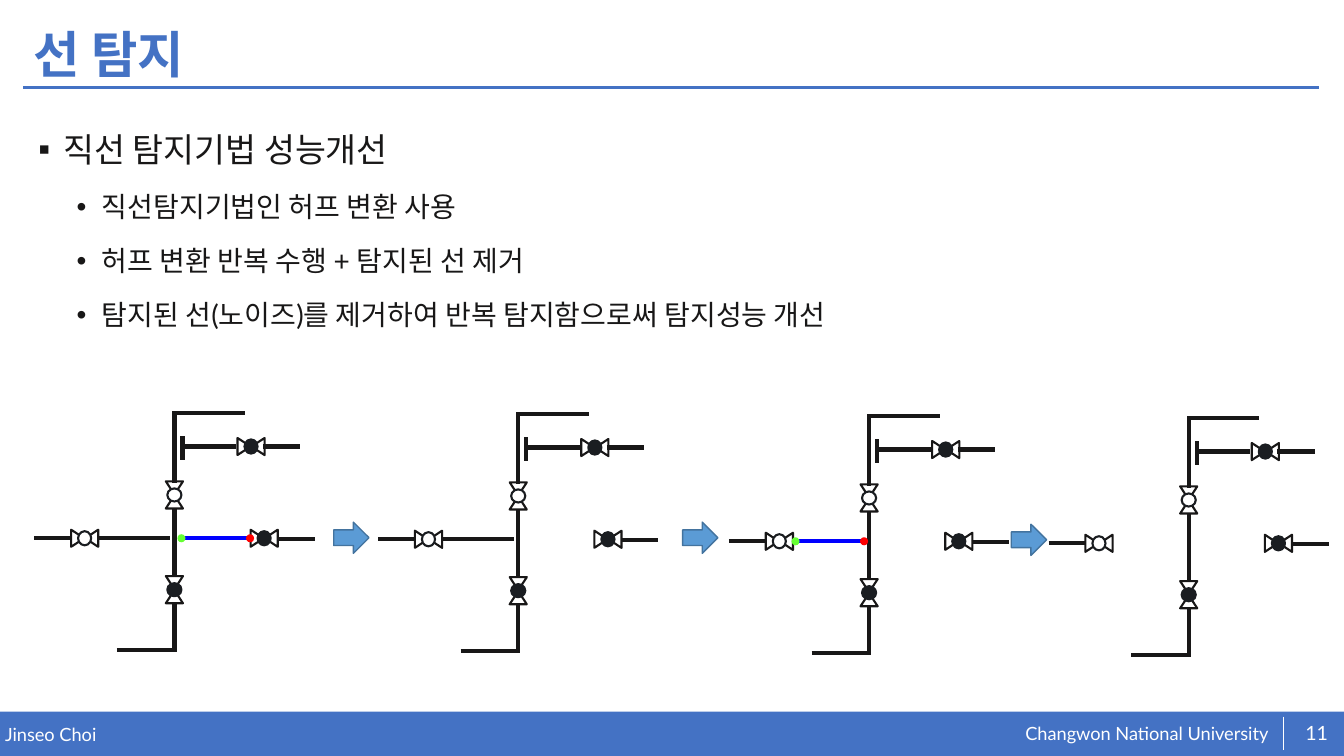
from dataclasses import dataclass

from lxml import etree
from pptx import Presentation
from pptx.dml.color import RGBColor
from pptx.enum.shapes import MSO_CONNECTOR, MSO_SHAPE
from pptx.enum.text import MSO_ANCHOR, MSO_AUTO_SIZE, PP_ALIGN
from pptx.oxml.ns import qn
from pptx.util import Inches, Pt


@dataclass(frozen=True)
class Theme:
    """Colours, fonts and type sizes of the slide."""
    accent: str = "4472C4"
    white: str = "FFFFFF"
    ink: str = "181717"
    valve: str = "1A1D21"
    detected: str = "0000FF"
    start: str = "66FF33"
    end: str = "FF0000"
    arrow: str = "5B9BD5"
    arrow_edge: str = "43739E"
    latin: str = "Lato"
    korean: str = "Noto Sans CJK KR"
    title_size: int = 36
    topic_size: int = 24
    point_size: int = 20
    number_size: int = 14
    footer_size: int = 13


THEME = Theme()

POINTS = [
    "직선탐지기법인 허프 변환 사용",
    "허프 변환 반복 수행 + 탐지된 선 제거",
    "탐지된 선(노이즈)를 제거하여 반복 탐지함으로써 탐지성능 개선",
]

PIPES = [
    (0, 4.08, 0, 4.79),
    (0, 5.05, 0, 5.72),
    (0, 5.98, 0, 6.47),
    (-0.57, 6.45, 0.01, 6.45),
    (-0.01, 4.1, 0.7, 4.1),
    (0.08, 4.33, 0.08, 4.56),
    (0.08, 4.43, 0.61, 4.43),
    (0.88, 4.43, 1.25, 4.43),
    (1.02, 5.35, 1.39, 5.35),
    (-1.39, 5.34, -1.02, 5.34),
]
LEFT_PIPE = (-0.76, 5.34, -0.04, 5.34)
RIGHT_PIPE = (0.04, 5.34, 0.76, 5.34)

VALVES = [
    (0, 4.91, THEME.white, True),
    (0, 5.85, THEME.valve, True),
    (0.89, 5.34, THEME.valve, False),
    (-0.89, 5.34, THEME.white, False),
    (0.76, 4.43, THEME.valve, False),
]

STAGES = [
    (1.73, 0, [LEFT_PIPE], RIGHT_PIPE),
    (5.14, 0.01, [LEFT_PIPE], None),
    (8.62, 0.03, [], LEFT_PIPE),
    (11.79, 0.05, [], None),
]
ARROWS = [(3.31, 5.18), (6.77, 5.18), (10.03, 5.2)]


def colour(code):
    """Turn a hex code into a colour."""
    return RGBColor.from_string(code)


def place(item, left, top, width, height):
    """Move and size a shape, in inches."""
    item.left, item.top = Inches(left), Inches(top)
    item.width, item.height = Inches(width), Inches(height)


def style_text(para, size, code, latin=THEME.latin, bold=False):
    """Set the font of a paragraph for Latin and Korean letters."""
    font = para.font
    font.size, font.bold, font.name = Pt(size), bold, latin
    font.color.rgb = colour(code)
    properties = para._p.pPr.find(qn("a:defRPr"))
    etree.SubElement(properties, qn("a:ea"), typeface=THEME.korean)


def add_line(page, start, end, code=THEME.ink, weight=3):
    """Draw a straight line between two points."""
    line = page.shapes.add_connector(
        MSO_CONNECTOR.STRAIGHT, *(Inches(value) for value in (*start, *end)))
    line.line.color.rgb = colour(code)
    line.line.width = Pt(weight)
    etree.SubElement(line._element.spPr, qn("a:effectLst"))


def add_figure(page, kind, centre, size, fill=None, edge=None, weight=1.5, turn=0):
    """Draw a preset shape around its centre."""
    (x, y), (width, height) = centre, size
    figure = page.shapes.add_shape(
        kind, Inches(x - width / 2), Inches(y - height / 2),
        Inches(width), Inches(height))
    figure.shadow.inherit = False
    figure.rotation = turn
    if fill:
        figure.fill.solid()
        figure.fill.fore_color.rgb = colour(fill)
    else:
        figure.fill.background()
    if edge:
        figure.line.color.rgb = colour(edge)
        figure.line.width = Pt(weight)
    else:
        figure.line.fill.background()


def add_label(page, area, text, size, align=PP_ALIGN.LEFT):
    """Write a white footer label."""
    box = page.shapes.add_textbox(*(Inches(value) for value in area))
    frame = box.text_frame
    frame.word_wrap = True
    frame.vertical_anchor = MSO_ANCHOR.MIDDLE
    frame.margin_left = frame.margin_right = 0
    frame.margin_top = frame.margin_bottom = 0
    para = frame.paragraphs[0]
    para.text, para.alignment = text, align
    style_text(para, size, THEME.white)


def add_title(page, text):
    """Fill the title placeholder and underline it."""
    title = page.shapes.title
    place(title, 0.23, 0.18, 12.86, 0.77)
    title.text_frame.auto_size = MSO_AUTO_SIZE.NONE
    title.text_frame.vertical_anchor = MSO_ANCHOR.MIDDLE
    para = title.text_frame.paragraphs[0]
    para.text, para.alignment, para.line_spacing = text, PP_ALIGN.LEFT, 0.9
    style_text(para, THEME.title_size, THEME.accent, THEME.korean, True)
    add_line(page, (0.23, 0.87), (13.08, 0.87), THEME.accent, 2)


def format_item(para, text, level, indent, bullet, size, before):
    """Write one bulleted list item."""
    para.text, para.level = text, level
    para.line_spacing, para.space_before = 1.4, Pt(before)
    properties = para._p.get_or_add_pPr()
    properties.set("marL", str(Inches(indent)))
    properties.set("indent", str(Inches(-0.25)))
    etree.SubElement(properties, qn("a:buChar"), char=bullet)
    style_text(para, size, THEME.ink)


def add_list(page, topic, points):
    """Fill the body placeholder with a topic and its points."""
    body = page.placeholders[1]
    place(body, 0.28, 1.07, 12.86, 5.63)
    frame = body.text_frame
    frame.auto_size = MSO_AUTO_SIZE.NONE
    format_item(frame.paragraphs[0], topic, 0, 0.25, "▪", THEME.topic_size, 10)
    for point in points:
        format_item(frame.add_paragraph(), point, 1, 0.63, "•", THEME.point_size, 5)


def add_footer(page):
    """Draw the footer band and its labels."""
    add_figure(page, MSO_SHAPE.RECTANGLE, (6.665, 7.28), (13.33, 0.44), THEME.accent)
    add_label(page, (10.17, 7.16, 2.67, 0.23), "Changwon National University",
              THEME.footer_size)
    add_label(page, (0.05, 7.17, 6.55, 0.22), "Jinseo Choi", THEME.footer_size)
    add_label(page, (12.82, 7.07, 0.48, 0.4), "11", THEME.number_size, PP_ALIGN.CENTER)
    add_line(page, (12.73, 7.11), (12.73, 7.44), THEME.white, 0.5)


def add_valve(page, x, y, fill, upright):
    """Draw two facing triangles with a round body between them."""
    for side in (-1, 1):
        centre = (x, y + side * 0.07) if upright else (x + side * 0.07, y)
        turn = (90 - 90 * side) if upright else (180 + 90 * side)
        add_figure(page, MSO_SHAPE.ISOSCELES_TRIANGLE, centre, (0.17, 0.13),
                   edge=THEME.ink, turn=turn)
    add_figure(page, MSO_SHAPE.OVAL, (x, y), (0.13, 0.14), fill, THEME.valve,
               turn=270 if upright else 0)


def add_stage(page, spine, drop, extra_pipes, detected):
    """Draw one state of the piping diagram."""
    for x1, y1, x2, y2 in PIPES + extra_pipes:
        add_line(page, (spine + x1, y1 + drop), (spine + x2, y2 + drop))
    for x, y, fill, upright in VALVES:
        add_valve(page, spine + x, y + drop, fill, upright)
    if detected:
        x1, y1, x2, y2 = detected
        start, end = (spine + x1, y1 + drop), (spine + x2, y2 + drop)
        add_line(page, start, end, THEME.detected)
        for (x, y), code in ((start, THEME.start), (end, THEME.end)):
            add_figure(page, MSO_SHAPE.OVAL, (x + (0.03 if code == THEME.start else -0.01), y),
                       (0.08, 0.08), code)


def main():
    """Build the slide and save it."""
    deck = Presentation()
    deck.slide_width, deck.slide_height = Inches(13.33), Inches(7.5)
    page = deck.slides.add_slide(deck.slide_layouts[1])
    add_footer(page)
    add_title(page, "선 탐지")
    add_list(page, "직선 탐지기법 성능개선", POINTS)
    for stage in STAGES:
        add_stage(page, *stage)
    for left, top in ARROWS:
        add_figure(page, MSO_SHAPE.RIGHT_ARROW, (left + 0.175, top + 0.155),
                   (0.35, 0.31), THEME.arrow, THEME.arrow_edge, 1)
    deck.save("out.pptx")


if __name__ == "__main__":
    main()
